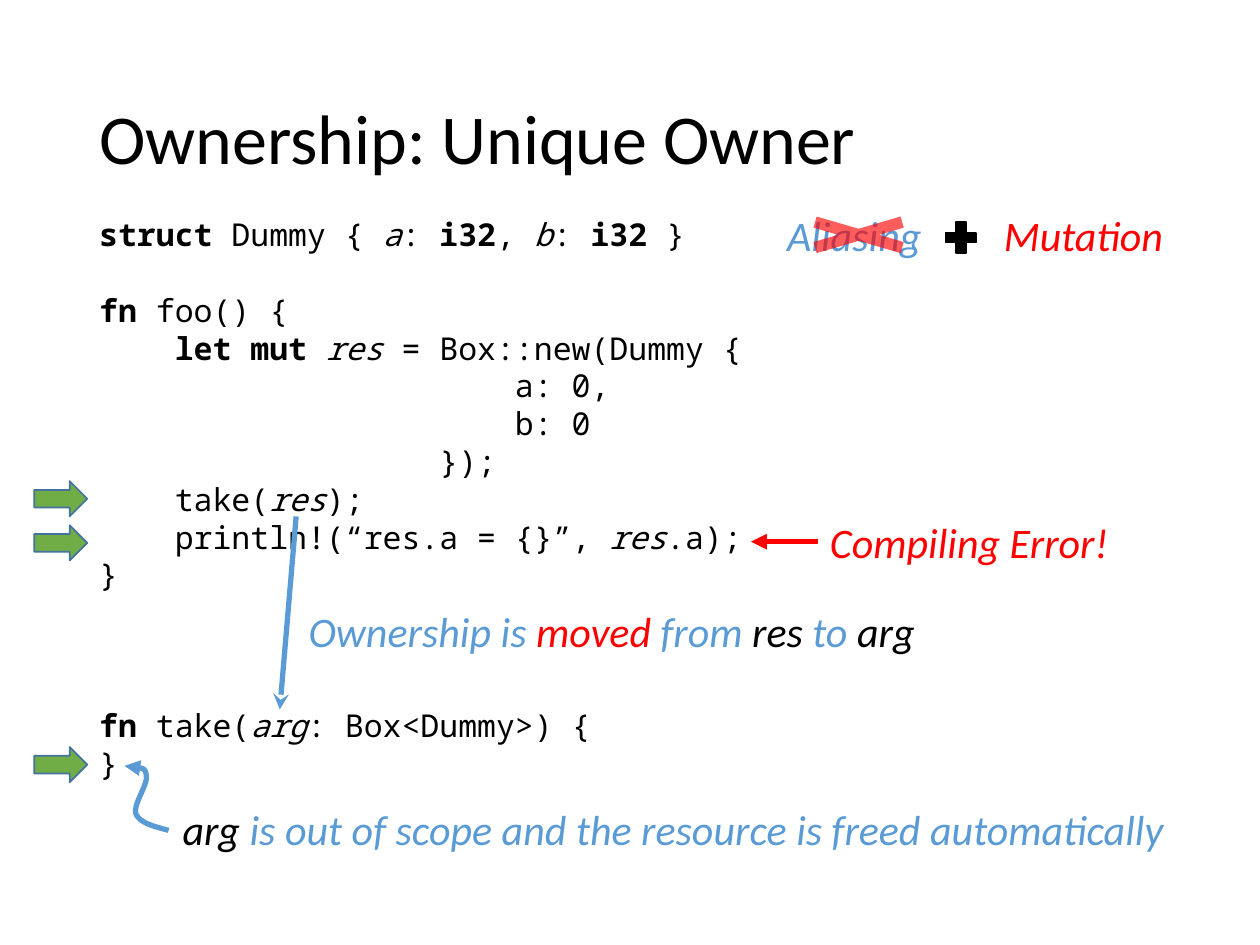
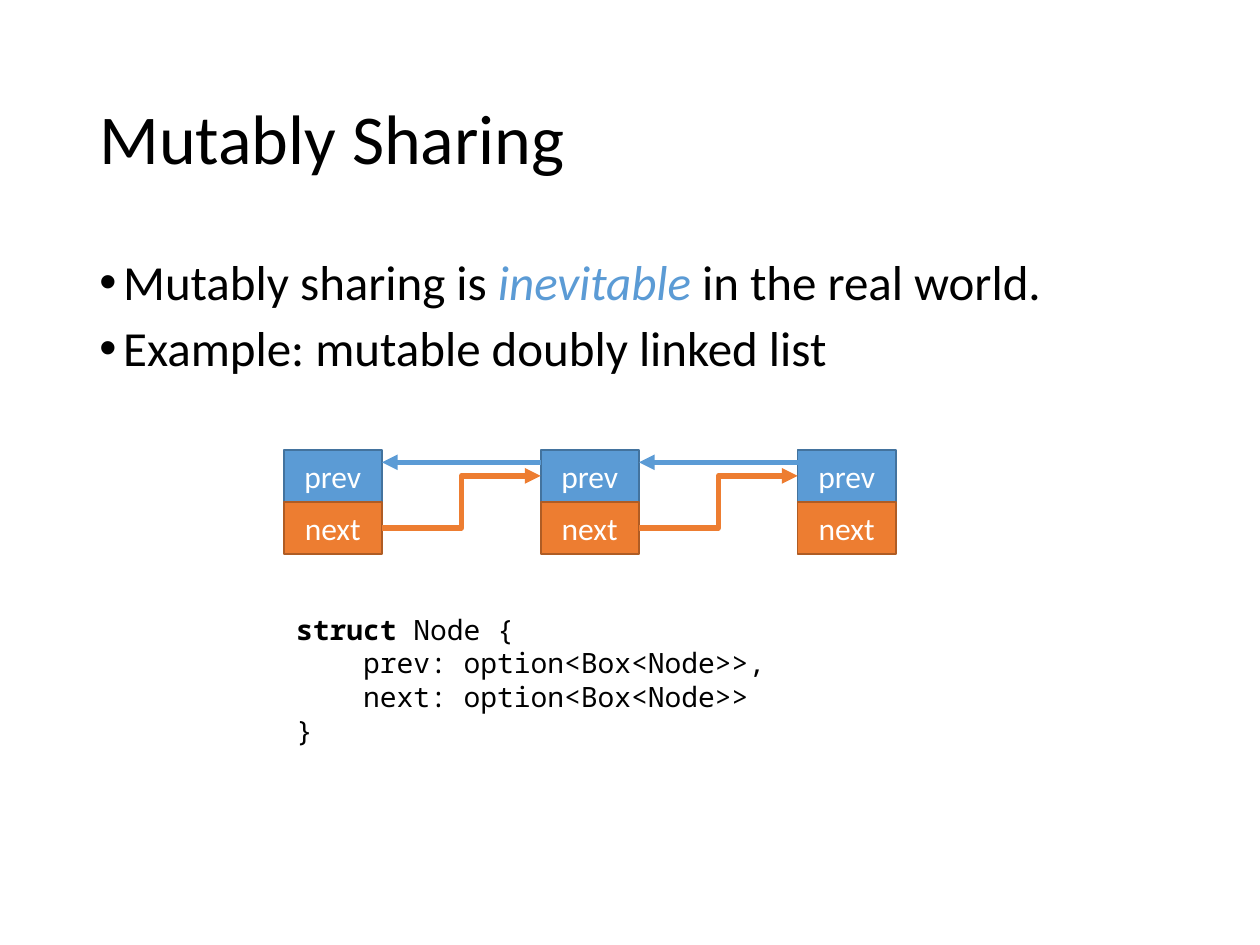
from dataclasses import dataclass
from itertools import pairwise

from pptx import Presentation
from pptx.dml.color import RGBColor
from pptx.enum.shapes import MSO_CONNECTOR, MSO_SHAPE
from pptx.enum.text import MSO_ANCHOR, MSO_AUTO_SIZE, PP_ALIGN
from pptx.oxml.ns import qn
from pptx.oxml.xmlchemy import OxmlElement
from pptx.util import Cm, Pt


@dataclass(frozen=True)
class Theme:
    """Colours, fonts and type sizes that the slides share."""
    black: str = "000000"
    white: str = "FFFFFF"
    blue: str = "5B9BD5"
    blue_edge: str = "43739E"
    orange: str = "ED7D31"
    orange_edge: str = "AF5C24"
    green: str = "70AD47"
    red: str = "FF0000"
    text_font: str = "Calibri"
    code_font: str = "Noto Sans Mono"
    title_size: float = 40
    body_size: float = 28
    note_size: float = 24
    code_size: float = 18
    small_code_size: float = 16
    label_size: float = 18
    code_line: float = 1.195
    link_width: float = 3


@dataclass(frozen=True)
class Look:
    """Emphasis of one span of text."""
    color: str = ""
    bold: bool = False
    italic: bool = False


THEME = Theme()
PLAIN = Look()
KEYWORD = Look(bold=True)
NAME = Look(italic=True)
BLUE = Look(THEME.blue, italic=True)
RED = Look(THEME.red, italic=True)
BLACK = Look(THEME.black, italic=True)

OWNER_CODE = [
    (0, [("struct ", KEYWORD), ("Dummy { ", PLAIN), ("a", NAME), (": ", PLAIN),
         ("i32", KEYWORD), (", ", PLAIN), ("b", NAME), (": ", PLAIN),
         ("i32", KEYWORD), (" }", PLAIN)]),
    (1, [("fn ", KEYWORD), ("foo() {", PLAIN)]),
    (0, [("    ", PLAIN), ("let mut ", KEYWORD), ("res", NAME),
         (" = Box::new(Dummy {", PLAIN)]),
    (0, [("                      a: 0,", PLAIN)]),
    (0, [("                      b: 0", PLAIN)]),
    (0, [("                  });", PLAIN)]),
    (0, [("    take(", PLAIN), ("res", NAME), (");", PLAIN)]),
    (0, [("    println!(“res.a = {}”, ", PLAIN), ("res", NAME), (".a);", PLAIN)]),
    (0, [("}", PLAIN)]),
    (3, [("fn", KEYWORD), (" take(", PLAIN), ("arg", NAME),
         (": Box<Dummy>) {", PLAIN)]),
    (0, [("}", PLAIN)]),
]

NODE_CODE = [
    (0, [("struct", KEYWORD), (" Node {", PLAIN)]),
    (0, [("    prev: option<Box<Node>>,", PLAIN)]),
    (0, [("    next: option<Box<Node>>", PLAIN)]),
    (0, [("}", PLAIN)]),
]


def rgb(color):
    """Turn a hex string into a colour."""
    return RGBColor.from_string(color)


def style_font(font, size, color, face=THEME.text_font):
    """Set face, size and colour of a font."""
    font.name = face
    font.size = Pt(size)
    font.color.rgb = rgb(color)


def write_spans(paragraph, spans, size, face=THEME.text_font):
    """Fill a paragraph with spans of text, each with its look."""
    for text, look in spans:
        span = paragraph.add_run()
        span.text = text
        style_font(span.font, size, look.color or THEME.black, face)
        span.font.bold = look.bold
        span.font.italic = look.italic


def paragraphs_for(frame, items):
    """Yield a paragraph of the frame for every item."""
    for index, item in enumerate(items):
        yield (frame.add_paragraph() if index else frame.paragraphs[0]), item


def place(shape, left, top, width, height):
    """Move and size a shape, in centimetres."""
    shape.left, shape.top = Cm(left), Cm(top)
    shape.width, shape.height = Cm(width), Cm(height)


def add_page(deck, layout_index, title):
    """Add a slide with its title."""
    page = deck.slides.add_slide(deck.slide_layouts[layout_index])
    box = page.shapes.title
    place(box, 1.75, 1.02, 21.89, 3.68)
    frame = box.text_frame
    frame.text = title
    frame.auto_size = MSO_AUTO_SIZE.NONE
    frame.vertical_anchor = MSO_ANCHOR.MIDDLE
    paragraph = frame.paragraphs[0]
    paragraph.alignment = PP_ALIGN.LEFT
    paragraph.line_spacing = 0.9
    style_font(paragraph.runs[0].font, THEME.title_size, THEME.black)
    return page


def fill_bullets(page, items):
    """Write the bulleted list in the body placeholder."""
    box = page.placeholders[1]
    place(box, 1.75, 5.08, 21.89, 12.85)
    box.text_frame.auto_size = MSO_AUTO_SIZE.NONE
    for paragraph, spans in paragraphs_for(box.text_frame, items):
        properties = paragraph._p.get_or_add_pPr()
        properties.set("marL", str(Cm(0.48)))
        properties.set("indent", str(-Cm(0.48)))
        bullet = OxmlElement("a:buChar")
        bullet.set("char", "•")
        properties.append(bullet)
        paragraph.line_spacing = 0.9
        paragraph.space_before = Pt(0 if spans is items[0] else 7.5)
        write_spans(paragraph, spans, THEME.body_size)


def add_code(page, lines, size, left, top, width, height):
    """Add a code listing; each line names the empty lines above it."""
    box = page.shapes.add_textbox(Cm(left), Cm(top), Cm(width), Cm(height))
    box.text_frame.word_wrap = True
    for paragraph, (gap, spans) in paragraphs_for(box.text_frame, lines):
        paragraph.space_before = Pt(round(gap * size * THEME.code_line, 1))
        write_spans(paragraph, spans, size, THEME.code_font)


def add_note(page, spans, left, top, width):
    """Add a one-line remark."""
    box = page.shapes.add_textbox(Cm(left), Cm(top), Cm(width), Cm(1.27))
    box.text_frame.word_wrap = False
    write_spans(box.text_frame.paragraphs[0], spans, THEME.note_size)


def add_figure(page, kind, left, top, width, height, fill, edge=None):
    """Add a filled preset shape, outlined when an edge colour is given."""
    shape = page.shapes.add_shape(kind, Cm(left), Cm(top), Cm(width), Cm(height))
    shape.shadow.inherit = False
    shape.fill.solid()
    shape.fill.fore_color.rgb = rgb(fill)
    if edge:
        shape.line.color.rgb = rgb(edge)
        shape.line.width = Pt(1)
    else:
        shape.line.fill.background()
    return shape


def set_opacity(shape, percent):
    """Make a solid fill partly transparent."""
    alpha = OxmlElement("a:alpha")
    alpha.set("val", str(percent * 1000))
    shape.fill._xPr.find(qn("a:solidFill"))[0].append(alpha)


def style_link(line, color, head):
    """Colour a line and give its end an arrowhead."""
    line.color.rgb = rgb(color)
    line.width = Pt(THEME.link_width)
    tip = OxmlElement("a:tailEnd")
    tip.set("type", head)
    line._get_or_add_ln().append(tip)


def add_arrow(page, start, end, color, head="triangle", kind=MSO_CONNECTOR.STRAIGHT):
    """Add a connector with an arrowhead at its end."""
    arrow = page.shapes.add_connector(kind, *map(Cm, start + end))
    style_link(arrow.line, color, head)
    arrow._element.spPr.append(OxmlElement("a:effectLst"))


def add_curved_arrow(page, start, controls, color):
    """Add an open Bézier arrow; every three controls form one curve."""
    builder = page.shapes.build_freeform(*map(Cm, start))
    builder.add_line_segments([(Cm(x), Cm(y)) for x, y in controls], close=False)
    shape = builder.convert_to_shape()
    segments = list(shape._element.iter(qn("a:lnTo")))
    for first in range(0, len(segments), 3):
        curve = OxmlElement("a:cubicBezTo")
        segments[first].addprevious(curve)
        for segment in segments[first:first + 3]:
            curve.append(segment[0])
            segment.getparent().remove(segment)
    shape.shadow.inherit = False
    shape.fill.background()
    style_link(shape.line, color, "triangle")


def add_field(page, label, left, top, width, height, fill, edge):
    """Add one labelled field of a list node."""
    shape = add_figure(page, MSO_SHAPE.RECTANGLE, left, top, width, height, fill, edge)
    frame = shape.text_frame
    frame.text = label
    frame.vertical_anchor = MSO_ANCHOR.MIDDLE
    frame.paragraphs[0].alignment = PP_ALIGN.CENTER
    style_font(frame.paragraphs[0].runs[0].font, THEME.label_size, THEME.white)


def add_linked_list(page):
    """Draw three nodes joined by next and prev arrows."""
    top, width, height = 9.07, 1.98, 1.05
    lefts = [5.72 + 5.18 * index for index in range(3)]
    middle = top + height / 2
    back = top + 0.25
    for left in lefts:
        add_field(page, "prev", left, top, width, height, THEME.blue, THEME.blue_edge)
        add_field(page, "next", left, top + height, width, height,
                  THEME.orange, THEME.orange_edge)
    for left, following in pairwise(lefts):
        edge = left + width
        add_arrow(page, (edge, middle + height), (following, middle),
                  THEME.orange, kind=MSO_CONNECTOR.ELBOW)
        add_arrow(page, (following, back), (edge, back), THEME.blue)


def add_owner_page(deck):
    """Build the slide on unique ownership."""
    page = add_page(deck, 5, "Ownership: Unique Owner")
    add_code(page, OWNER_CODE, THEME.code_size, 1.75, 4.22, 20.93, 11.79)
    add_arrow(page, (5.97, 10.41), (5.64, 14.3), THEME.blue, "stealth")
    add_note(page, [("Ownership is ", BLUE), ("moved ", RED), ("from ", BLUE),
                    ("res", BLACK), (" to ", BLUE), ("arg", BLACK)],
             5.97, 12.09, 12.88)
    for top in (9.7, 10.59, 15.06):
        add_figure(page, MSO_SHAPE.RIGHT_ARROW, 0.69, top, 1.07, 0.71,
                   THEME.green, THEME.blue_edge)
    add_note(page, [("arg", BLACK),
                    (" is out of scope and the resource is freed automatically", BLUE)],
             3.43, 16.08, 20.32)
    add_curved_arrow(page, (3.4, 16.74),
                     [(3.1, 16.66), (2.82, 16.59), (2.74, 16.41),
                      (2.67, 16.23), (3, 15.8), (2.95, 15.62),
                      (2.92, 15.47), (2.72, 15.44), (2.51, 15.44)], THEME.blue)
    add_note(page, [("Compiling Error!", RED)], 16.48, 10.29, 6.2)
    add_arrow(page, (16.48, 10.92), (15.14, 10.92), THEME.red)
    add_note(page, [("Aliasing", BLUE)], 15.62, 4.09, 3.25)
    add_figure(page, MSO_SHAPE.MATH_PLUS, 18.95, 4.37, 0.84, 0.84,
               THEME.black, THEME.black)
    add_note(page, [("Mutation", RED)], 19.99, 4.09, 3.76)
    cross = add_figure(page, MSO_SHAPE.MATH_MULTIPLY, 15.62, 4.24, 3.38, 0.99, THEME.red)
    set_opacity(cross, 64)


def add_sharing_page(deck):
    """Build the slide on mutable sharing."""
    page = add_page(deck, 1, "Mutably Sharing")
    fill_bullets(page, [
        [("Mutably sharing is ", PLAIN), ("inevitable ", BLUE),
         ("in the real world.", PLAIN)],
        [("Example: mutable doubly linked list", PLAIN)],
    ])
    add_linked_list(page)
    add_code(page, NODE_CODE, THEME.small_code_size, 5.72, 12.22, 11.13, 3)


def main():
    """Build the deck and save it."""
    deck = Presentation()
    deck.slide_width, deck.slide_height = Cm(25.4), Cm(19.05)
    add_owner_page(deck)
    add_sharing_page(deck)
    deck.save("out.pptx")


if __name__ == "__main__":
    main()
